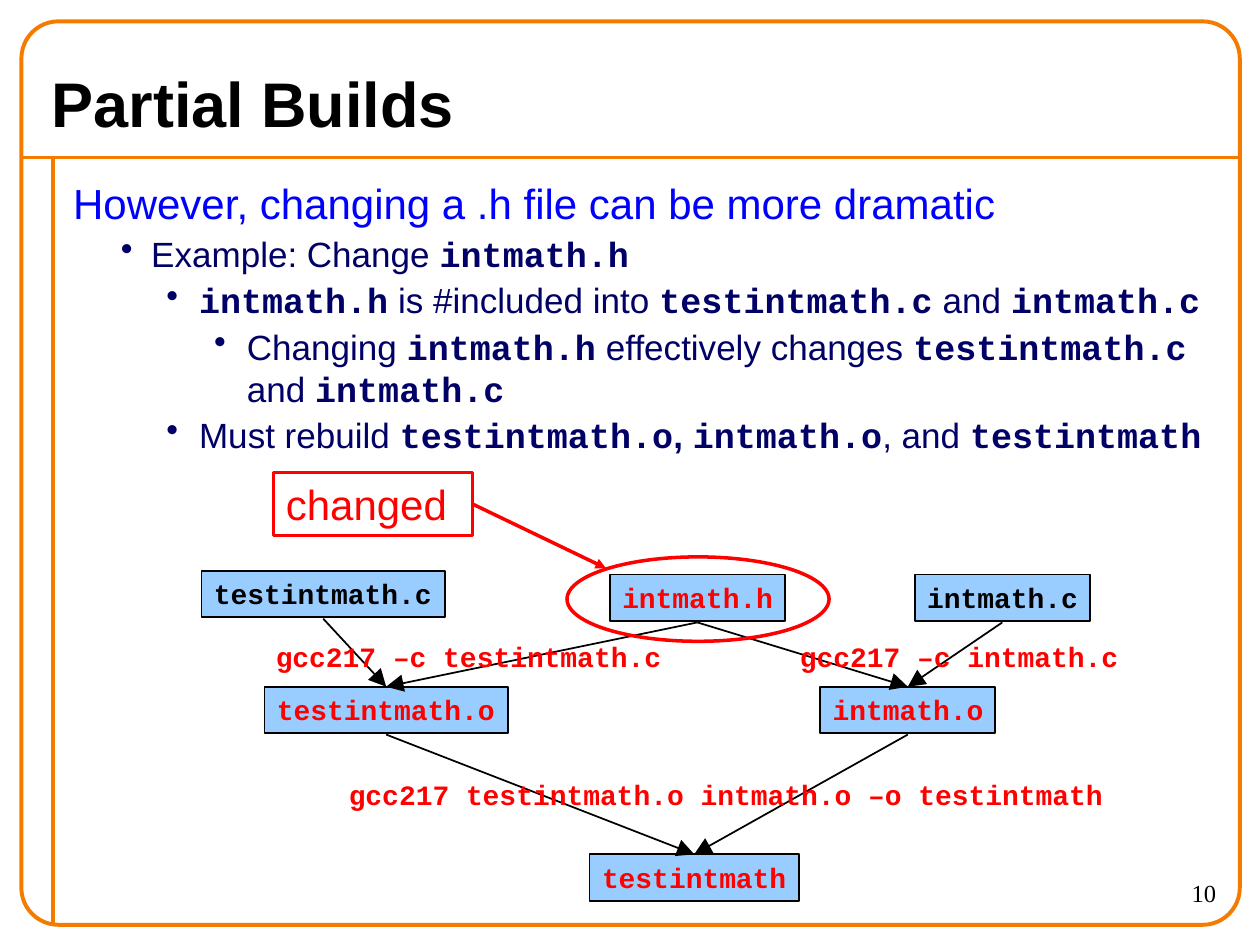
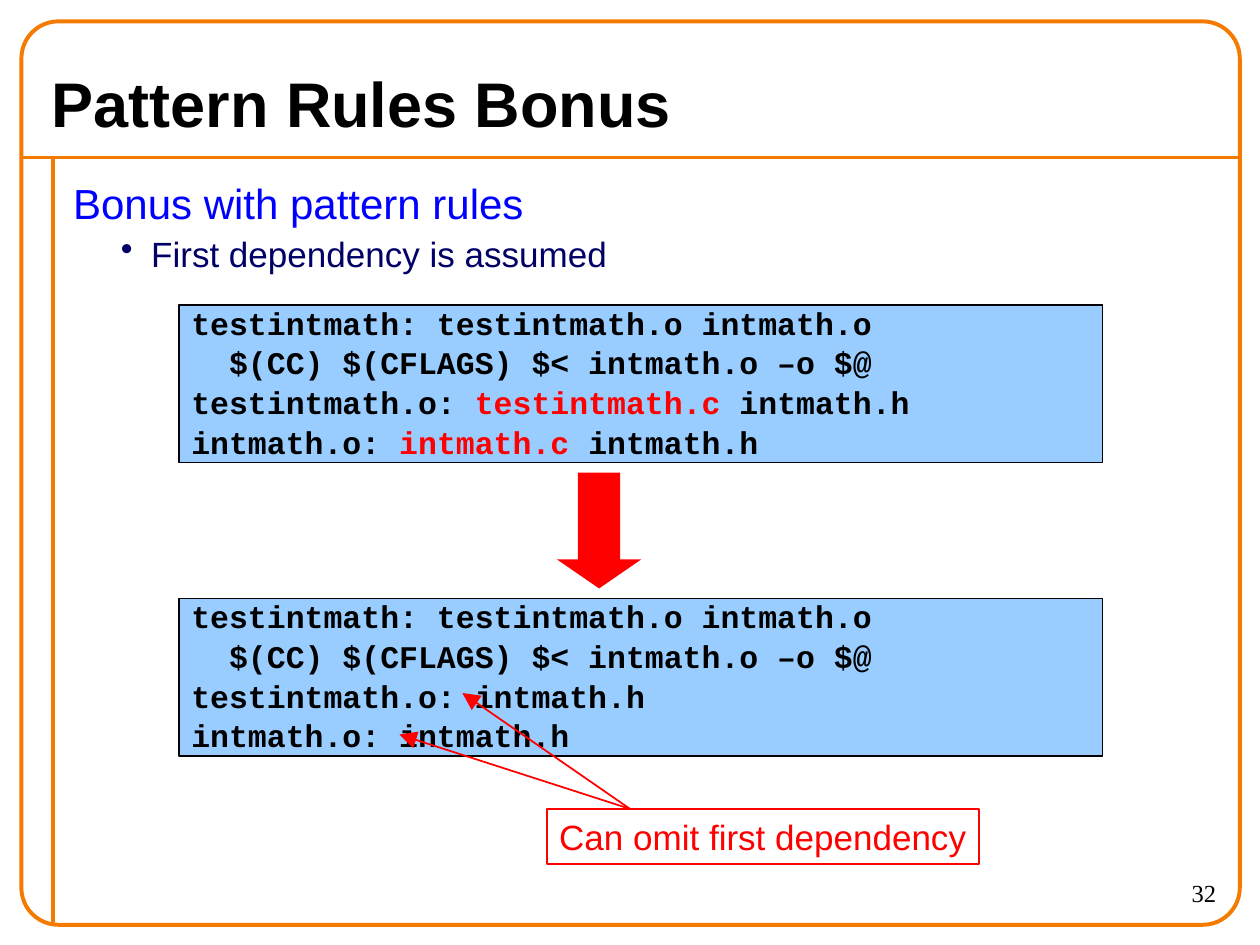
from pptx import Presentation
from pptx.dml.color import RGBColor
from pptx.enum.shapes import MSO_CONNECTOR, MSO_SHAPE
from pptx.enum.text import MSO_ANCHOR, PP_ALIGN
from pptx.oxml import parse_xml
from pptx.oxml.ns import nsdecls, qn
from pptx.util import Inches, Pt

BLACK = RGBColor(0, 0, 0)
WHITE = RGBColor(255, 255, 255)
RED = RGBColor(255, 0, 0)
BLUE = RGBColor(0, 0, 255)
NAVY = RGBColor(0, 0, 0x66)
SKY = RGBColor(0x99, 0xCC, 0xFF)
ORANGE = RGBColor(0xF4, 0x7A, 0)

TITLE = {"name": "Arial", "size": Pt(36), "bold": True}
HEADING = {"name": "Arial", "size": Pt(24), "bold": False}
POINT = {"name": "Arial", "size": Pt(20), "bold": False}
POINT_BOLD = {**POINT, "bold": True}
POINT_CODE = {"name": "Courier New", "size": Pt(20), "bold": True}
LABEL = {**POINT_CODE, "size": Pt(16)}
LISTING = {**POINT_CODE, "size": Pt(18)}
NUMBER = {"name": "Times New Roman", "size": Pt(14), "bold": False}

INDENTS = {1: (0.62, 0.24), 2: (1, 0.26), 3: (1.38, 0.26)}
NODE_H = 0.37


def add_run(p, text, fmt, color):
    r = p.add_run()
    r.text = text
    for key, value in fmt.items():
        setattr(r.font, key, value)
    r.font.color.rgb = color


def set_frame(tf, wrap=True, inset=(0.1, 0.05), anchor=MSO_ANCHOR.TOP):
    x, y = map(Inches, inset)
    values = {"word_wrap": wrap, "vertical_anchor": anchor,
              "margin_left": x, "margin_right": x,
              "margin_top": y, "margin_bottom": y}
    for key, value in values.items():
        setattr(tf, key, value)


def add_shape(s, kind, box, line=None, width=1.0, fill=None, adj=()):
    sp = s.shapes.add_shape(kind, *map(Inches, box))
    sp.shadow.inherit = False
    for i, value in enumerate(adj):
        sp.adjustments[i] = value
    if fill is None:
        sp.fill.background()
    else:
        sp.fill.solid()
        sp.fill.fore_color.rgb = fill
    if line is None:
        sp.line.fill.background()
    else:
        sp.line.color.rgb = line
        sp.line.width = Pt(width)
    return sp


def add_box(s, box, text, fmt, color, wrap=True, **style):
    sp = add_shape(s, MSO_SHAPE.RECTANGLE, box, **style)
    set_frame(sp.text_frame, wrap)
    p = sp.text_frame.paragraphs[0]
    p.alignment = PP_ALIGN.LEFT
    add_run(p, text, fmt, color)


def add_text(s, box, text, fmt, color, align=PP_ALIGN.LEFT, spacing=1.0):
    tf = s.shapes.add_textbox(*map(Inches, box)).text_frame
    set_frame(tf)
    p = tf.paragraphs[0]
    p.alignment = align
    p.line_spacing = spacing
    add_run(p, text, fmt, color)


def add_line(s, start, end, color, width=1.0, head=None):
    cx = s.shapes.add_connector(MSO_CONNECTOR.STRAIGHT,
                                *map(Inches, (*start, *end)))
    cx.line.color.rgb = color
    cx.line.width = Pt(width)
    if head:
        cx.line._get_or_add_ln().append(parse_xml(
            f'<a:tailEnd {nsdecls("a")} type="triangle" w="{head}" len="{head}"/>'))
    cx._element.spPr.append(parse_xml(f'<a:effectLst {nsdecls("a")}/>'))


def add_bullet(p, level):
    left, hang = INDENTS[level]
    pPr = p._p.get_or_add_pPr()
    pPr.set("marL", str(Inches(left)))
    pPr.set("indent", str(-Inches(hang)))
    clr = parse_xml(f'<a:buClr {nsdecls("a")}><a:srgbClr val="{NAVY}"/></a:buClr>')
    char = pPr.makeelement(qn("a:buChar"), {"char": "•"})
    pPr.extend([clr, char])
    p.space_before = Pt(2.5)


def add_body(s, heading, points):
    box = map(Inches, (0.5, 1.33, 9.25, 6))
    tf = s.shapes.add_textbox(*box).text_frame
    set_frame(tf, inset=(0.08, 0.08))
    add_run(tf.paragraphs[0], heading, HEADING, BLUE)
    for level, parts in points:
        p = tf.add_paragraph()
        add_bullet(p, level)
        for text, fmt in parts:
            add_run(p, text, fmt, NAVY)


def add_listing(s, top, lines):
    sp = add_shape(s, MSO_SHAPE.RECTANGLE, (1.42, top, 7.33, 1.25),
                   line=BLACK, width=0.75, fill=SKY)
    tf = sp.text_frame
    set_frame(tf)
    for i, parts in enumerate(lines):
        p = tf.add_paragraph() if i else tf.paragraphs[0]
        p.alignment = PP_ALIGN.LEFT
        if i:
            p.space_before = Pt(1.1)
        else:
            p.line_spacing = 0.8
        for text, color in parts:
            add_run(p, text, LISTING, color)


def add_slide(prs, title, number):
    s = prs.slides.add_slide(prs.slide_layouts[5])
    add_line(s, (0.17, 1.25), (9.83, 1.25), ORANGE, 2.25)
    add_line(s, (0.42, 1.25), (0.42, 7.33), ORANGE, 2.25)
    add_shape(s, MSO_SHAPE.ROUNDED_RECTANGLE, (0.17, 0.17, 9.67, 7.17),
              line=ORANGE, width=2.25, adj=[0.041])
    add_text(s, (8.75, 6.92, 1, 0.42), number, NUMBER, BLACK, PP_ALIGN.RIGHT)
    sp = s.shapes.title
    sp.left, sp.top, sp.width, sp.height = map(Inches, (0.33, 0.44, 9.33, 0.75))
    set_frame(sp.text_frame, inset=(0.08, 0.04), anchor=MSO_ANCHOR.MIDDLE)
    p = sp.text_frame.paragraphs[0]
    p.alignment = PP_ALIGN.LEFT
    add_run(p, title, TITLE, BLACK)
    return s


def add_build_graph(s):
    nodes = {
        "intmath.h": (4.84, 4.56, 1.39, RED),
        "intmath.c": (7.26, 4.56, 1.39, BLACK),
        "testintmath.c": (1.6, 4.53, 1.93, BLACK),
        "testintmath": (4.68, 6.78, 1.66, RED),
        "testintmath.o": (2.1, 5.45, 1.93, RED),
        "intmath.o": (6.51, 5.45, 1.39, RED),
    }
    links = [
        ("intmath.h", "testintmath.o"), ("intmath.h", "intmath.o"),
        ("testintmath.c", "testintmath.o"), ("intmath.c", "intmath.o"),
        ("testintmath.o", "testintmath"), ("intmath.o", "testintmath"),
    ]
    commands = [
        ((2.67, 6.17, 6.67, 0.42), "gcc217 testintmath.o intmath.o –o testintmath"),
        ((2.09, 5.08, 3.41, 0.42), "gcc217 –c testintmath.c"),
        ((6.25, 5.08, 2.92, 0.42), "gcc217 –c intmath.c"),
    ]
    for name, (x, y, w, color) in nodes.items():
        add_box(s, (x, y, w, NODE_H), name, LABEL, color, wrap=False,
                line=BLACK, fill=SKY)
    for source, target in links:
        x1, y1, w1, _ = nodes[source]
        x2, y2, w2, _ = nodes[target]
        add_line(s, (x1 + w1 / 2, y1 + NODE_H + 0.01), (x2 + w2 / 2, y2),
                 BLACK, head="lg")
    for box, command in commands:
        add_text(s, box, command, LABEL, RED, spacing=0.8)


def build_partial_builds(prs):
    s = add_slide(prs, "Partial Builds", "10")
    add_body(s, "However, changing a .h file can be more dramatic", [
        (1, [("Example: Change ", POINT), ("intmath.h", POINT_CODE)]),
        (2, [("intmath.h", POINT_CODE), (" is #included into ", POINT),
             ("testintmath.c", POINT_CODE), (" and ", POINT),
             ("intmath.c", POINT_CODE)]),
        (3, [("Changing ", POINT), ("intmath.h", POINT_CODE),
             (" effectively changes ", POINT), ("testintmath.c", POINT_CODE),
             (" and ", POINT), ("intmath.c", POINT_CODE)]),
        (2, [("Must rebuild ", POINT), ("testintmath.o", POINT_CODE),
             (", ", POINT_BOLD), ("intmath.o", POINT_CODE),
             (", and ", POINT), ("testintmath", POINT_CODE)]),
    ])
    add_build_graph(s)
    add_shape(s, MSO_SHAPE.OVAL, (4.5, 4.42, 2.08, 0.67), line=RED, width=2)
    add_box(s, (2.17, 3.75, 1.58, 0.5), "changed", HEADING, RED,
            line=RED, width=2)
    add_line(s, (3.75, 4), (4.81, 4.51), RED, 2, head="med")


def build_pattern_rules(prs):
    s = add_slide(prs, "Pattern Rules Bonus", "32")
    add_body(s, "Bonus with pattern rules",
             [(1, [("First dependency is assumed", POINT)])])
    link_rule = [
        [("testintmath: testintmath.o intmath.o", BLACK)],
        [("  $(CC) $(CFLAGS) $< intmath.o –o $@", BLACK)],
    ]
    add_listing(s, 4.75, link_rule + [
        [("testintmath.o: intmath.h", BLACK)],
        [("intmath.o: intmath.h", BLACK)],
    ])
    add_box(s, (4.34, 6.42, 3.43, 0.44), "Can omit first dependency", POINT, RED,
            wrap=False, line=RED, fill=WHITE)
    for end in ((3.67, 5.5), (3.17, 5.83)):
        add_line(s, (5, 6.42), end, RED, head="lg")
    add_listing(s, 2.42, link_rule + [
        [(f"{name}.o: ", BLACK), (f"{name}.c", RED), (" intmath.h", BLACK)]
        for name in ("testintmath", "intmath")
    ])
    add_shape(s, MSO_SHAPE.DOWN_ARROW, (4.42, 3.75, 0.67, 0.92), fill=RED,
              adj=[0.5, 0.344])


def main():
    prs = Presentation()
    prs.slide_width, prs.slide_height = Inches(10), Inches(7.5)
    build_partial_builds(prs)
    build_pattern_rules(prs)
    prs.save("out.pptx")


if __name__ == "__main__":
    main()
